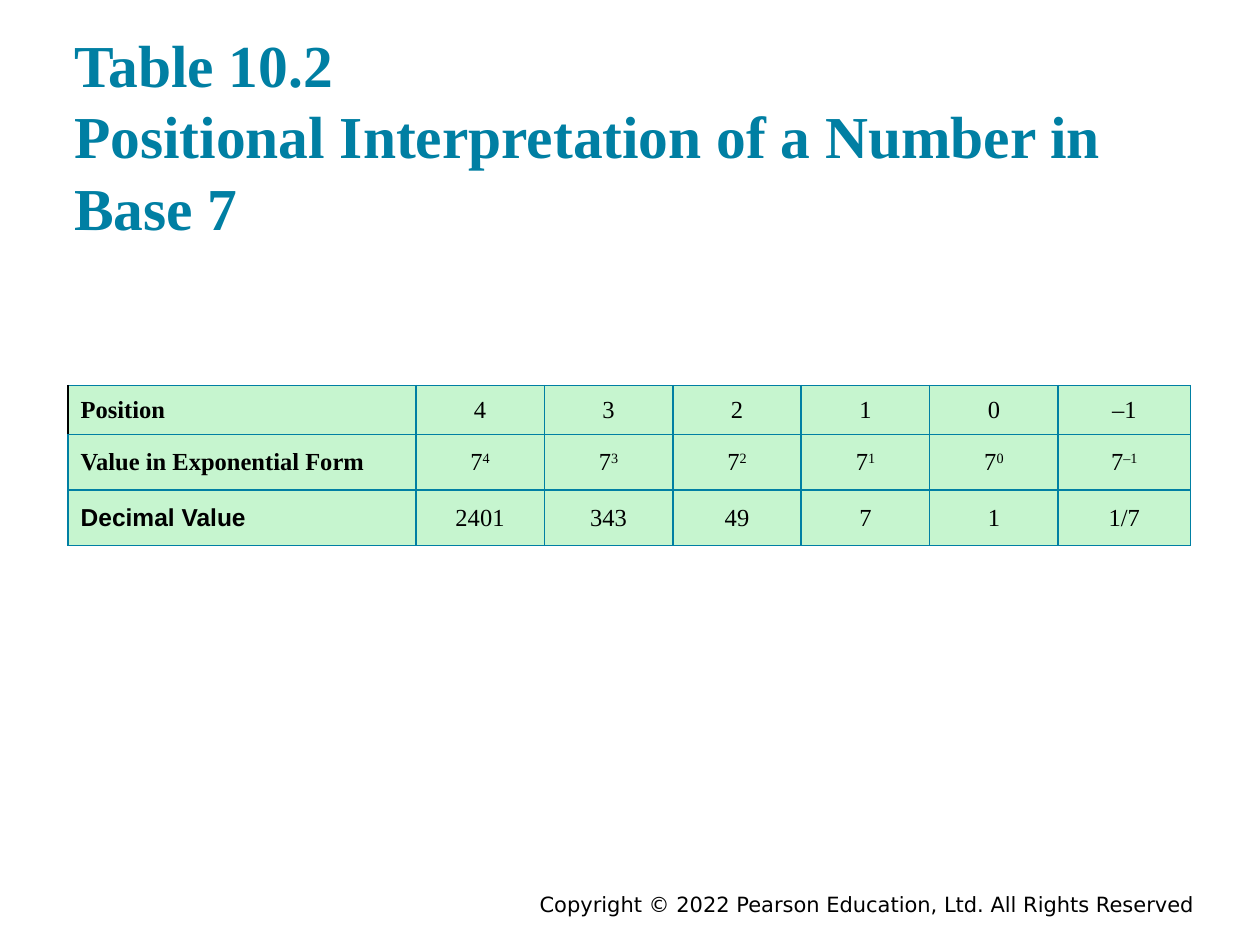
"""Builds the slide on positional values of a number in base 7."""
from dataclasses import dataclass

from lxml import etree
from pptx import Presentation, util as u
from pptx.dml.color import RGBColor
from pptx.enum import text
from pptx.oxml.ns import qn

COLORS = {"teal": "007FA3", "mint": "C6F5CF", "ink": "000000"}
SERIF, SANS, FOOTER = "Times New Roman", "Arial", "DejaVu Sans"
WIDTH, HEIGHT = u.Inches(10), u.Inches(7.5)
COLUMN_WIDTHS = [2.76] + [1.02] * 5 + [1.05]
ROW_HEIGHTS = [0.39, 0.44, 0.44]


@dataclass(frozen=True)
class Style:
    """Holds the look of a run."""
    size: float
    font: str = SERIF
    color: str = "ink"
    bold: bool = False


@dataclass(frozen=True)
class Row:
    """Holds a row's heading and its values; ^ starts a superscript."""
    heading: str
    values: list[str]
    heading_font: str = SERIF


ROWS = [
    Row("Position", ["4", "3", "2", "1", "0", "–1"]),
    Row("Value in Exponential Form", [f"7^{power}" for power in ("4", "3", "2", "1", "0", "–1")]),
    Row("Decimal Value", ["2401", "343", "49", "7", "1", "1/7"], SANS),
]


def add_run(paragraph, words: str, style: Style, baseline: int = 0) -> None:
    """Adds one formatted run, raised by a percentage of its size."""
    run = paragraph.add_run()
    run.text = words
    run.font.size, run.font.name, run.font.bold = u.Pt(style.size), style.font, style.bold
    run.font.color.rgb = RGBColor.from_string(COLORS[style.color])
    if baseline:
        run.font._element.set("baseline", str(baseline * 1000))


def place(shape, left: float, top: float, width: float, height: float) -> None:
    """Sets a shape's box in shares of the slide."""
    shape.left, shape.width = int(WIDTH * left), int(WIDTH * width)
    shape.top, shape.height = int(HEIGHT * top), int(HEIGHT * height)


def add_title(slide, lines: list[str]) -> None:
    """Writes the title lines in the title placeholder."""
    title = slide.shapes.title
    place(title, 0.049, 0.03, 0.9, 0.24)
    frame = title.text_frame
    frame.auto_size = text.MSO_AUTO_SIZE.NONE
    frame.vertical_anchor = text.MSO_ANCHOR.BOTTOM
    frame.margin_left = frame.margin_right = u.Inches(0.1)
    frame.margin_top = frame.margin_bottom = u.Inches(0.1)
    paragraph = frame.paragraphs[0]
    paragraph.alignment = text.PP_ALIGN.LEFT
    paragraph.line_spacing = u.Pt(41)
    for index, line in enumerate(lines):
        if index:
            paragraph.add_line_break()
        add_run(paragraph, line, Style(34, color="teal", bold=True))


def add_copyright(slide, words: str) -> None:
    """Writes the right-aligned copyright line."""
    box = slide.shapes.add_textbox(0, 0, 0, 0)
    place(box, 0.175, 0.937, 0.783, 0.03)
    box.text_frame.word_wrap = True
    paragraph = box.text_frame.paragraphs[0]
    paragraph.alignment = text.PP_ALIGN.RIGHT
    add_run(paragraph, words, Style(12, FOOTER))


def set_borders(cell, left: str = "teal") -> None:
    """Draws one-point borders ahead of the cell's fill."""
    properties = cell._tc.get_or_add_tcPr()
    sides = {"L": left, "R": "teal", "T": "teal", "B": "teal"}
    for index, (side, color) in enumerate(sides.items()):
        line = etree.Element(qn(f"a:ln{side}"), w=str(u.Pt(1)))
        fill = etree.SubElement(line, qn("a:solidFill"))
        etree.SubElement(fill, qn("a:srgbClr"), val=COLORS[color])
        properties.insert(index, line)


def fill_cell(cell, words: str, style: Style, align, left: str = "teal") -> None:
    """Formats a cell and writes its base and superscript."""
    cell.fill.solid()
    cell.fill.fore_color.rgb = RGBColor.from_string(COLORS["mint"])
    cell.vertical_anchor = text.MSO_ANCHOR.MIDDLE
    set_borders(cell, left)
    paragraph = cell.text_frame.paragraphs[0]
    paragraph.alignment = align
    base, _, power = words.partition("^")
    add_run(paragraph, base, style)
    if power:
        add_run(paragraph, power, style, 30)


def add_positions(slide, rows: list[Row]) -> None:
    """Builds the table of positions and their values."""
    frame = slide.shapes.add_table(len(rows), len(COLUMN_WIDTHS), 0, 0, 0, 0)
    place(frame, 0.054, 0.408, 0.892, 0.169)
    table = frame.table
    table.first_row = table.horz_banding = False
    for column, width in zip(table.columns, COLUMN_WIDTHS):
        column.width = u.Inches(width)
    for index, (row, height) in enumerate(zip(rows, ROW_HEIGHTS)):
        table.rows[index].height = u.Inches(height)
        fill_cell(table.cell(index, 0), row.heading, Style(14, row.heading_font, bold=True),
                  text.PP_ALIGN.LEFT, "teal" if index else "ink")
        for position, value in enumerate(row.values, start=1):
            fill_cell(table.cell(index, position), value, Style(14), text.PP_ALIGN.CENTER)


def main() -> None:
    """Builds and saves the slide."""
    deck = Presentation()
    deck.slide_width, deck.slide_height = WIDTH, HEIGHT
    slide = deck.slides.add_slide(deck.slide_layouts[5])
    add_copyright(slide, "Copyright © 2022 Pearson Education, Ltd. All Rights Reserved")
    add_title(slide, ["Table 10.2", "Positional Interpretation of a Number in Base 7"])
    add_positions(slide, ROWS)
    deck.save("out.pptx")


if __name__ == "__main__":
    main()
